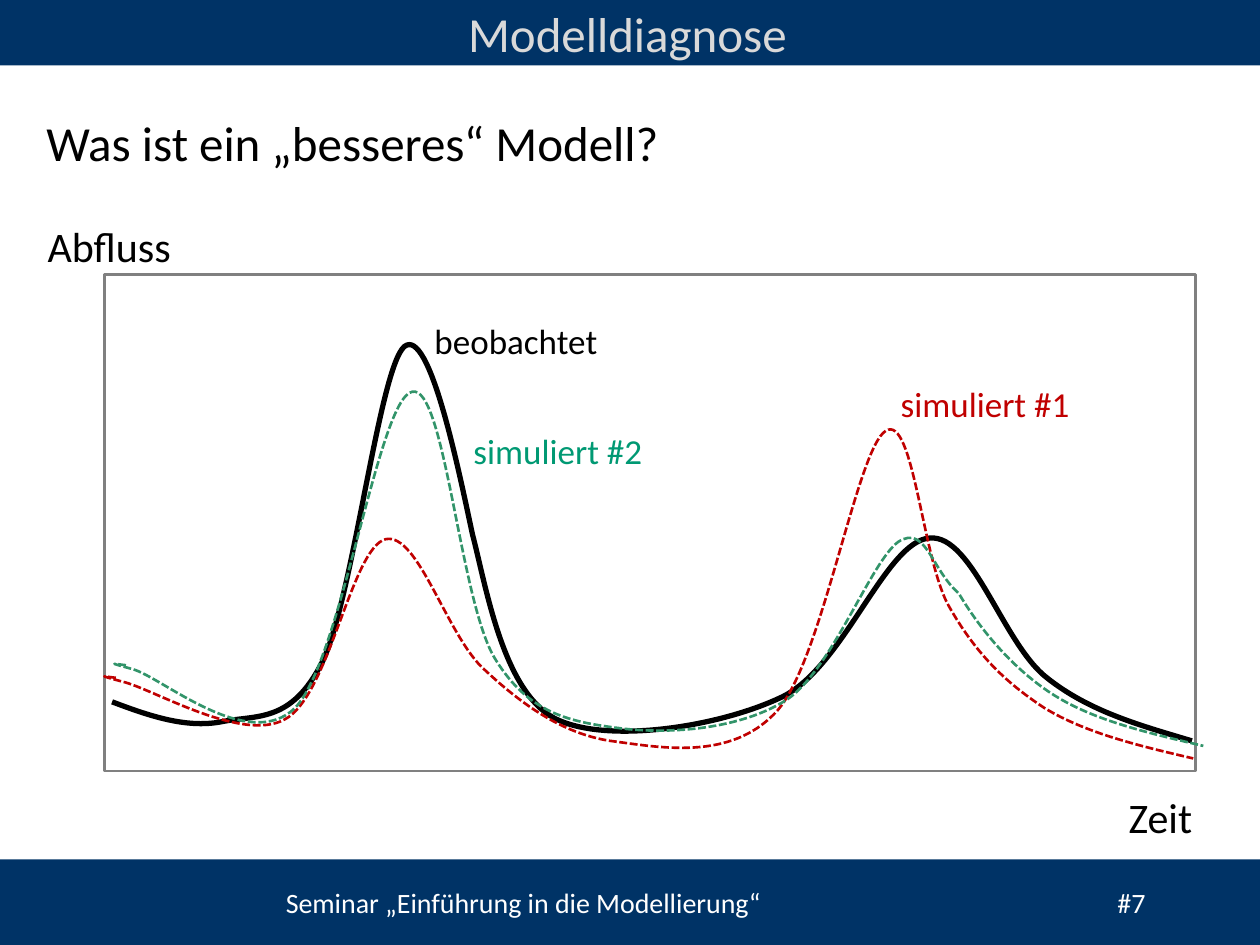
"""Build the model diagnosis slide with observed and simulated runoff curves."""
from lxml import etree
from pptx import Presentation
from pptx.dml.color import RGBColor
from pptx.enum.dml import MSO_LINE
from pptx.enum.shapes import MSO_SHAPE
from pptx.enum.text import PP_ALIGN
from pptx.oxml.ns import qn
from pptx.util import Inches, Pt

NAVY = RGBColor(0x00, 0x33, 0x66)
WHITE = RGBColor(0xFF, 0xFF, 0xFF)
LIGHT_GRAY = RGBColor(0xD9, 0xD9, 0xD9)
GRAY = RGBColor(0x80, 0x80, 0x80)
BLACK = RGBColor(0x00, 0x00, 0x00)
RED = RGBColor(0xC0, 0x00, 0x00)
CURVE_GREEN = RGBColor(0x32, 0x94, 0x6A)
LABEL_GREEN = RGBColor(0x00, 0x99, 0x73)
LEFT, CENTER, RIGHT = PP_ALIGN.LEFT, PP_ALIGN.CENTER, PP_ALIGN.RIGHT
SOLID, DASHED = MSO_LINE.SOLID, MSO_LINE.SQUARE_DOT
RECTANGLE = MSO_SHAPE.RECTANGLE


def add_text(slide, text, box, size, color, alignment=LEFT):
    shape = slide.shapes.add_textbox(*map(Inches, box))
    shape.text_frame.word_wrap = True
    paragraph = shape.text_frame.paragraphs[0]
    paragraph.text = text
    paragraph.alignment = alignment
    font = paragraph.runs[0].font
    font.color.rgb = color
    for name, value in {"name": "Calibri", "size": Pt(size)}.items():
        setattr(font, name, value)
    return shape


def add_curve(slide, knots):
    points = [(Inches(x), Inches(y)) for x, y in knots]
    builder = slide.shapes.build_freeform(*points[0])
    builder.add_line_segments(points[1:], close=False)
    curve = builder.convert_to_shape()
    lines = list(curve.element.iter(qn("a:lnTo")))
    for start in range(0, len(lines), 3):
        bezier = etree.SubElement(lines[start].getparent(), qn("a:cubicBezTo"))
        for line in lines[start:start + 3]:
            bezier.append(line[0])
            line.getparent().remove(line)
    return curve


presentation = Presentation()
presentation.slide_width = Inches(10)
presentation.slide_height = Inches(7.5)
slide = presentation.slides.add_slide(presentation.slide_layouts[6])

for top, height in ((0, 0.52), (6.82, 0.68)):
    band = slide.shapes.add_shape(RECTANGLE, 0, Inches(top), Inches(10), Inches(height))
    band.shadow.inherit = False
    band.fill.solid()
    band.fill.fore_color.rgb = NAVY
    band.line.fill.background()

footer = add_text(
    slide, "Seminar „Einführung in die Modellierung“\t#7", (2.17, 6.98, 7.83, 0.37), 16, WHITE
)
footer_properties = footer.text_frame.paragraphs[0]._p.get_or_add_pPr()
tab_stops = etree.SubElement(footer_properties, qn("a:tabLst"))
etree.SubElement(tab_stops, qn("a:tab"), pos=str(Inches(6.6)), algn="l")

title = add_text(slide, "Modelldiagnose", (0, -0.02, 9.96, 0.52), 28, LIGHT_GRAY, CENTER)
title.text_frame.margin_left = title.text_frame.margin_right = 0

plot_frame = slide.shapes.add_shape(
    RECTANGLE, Inches(0.83), Inches(2.18), Inches(8.66), Inches(3.94)
)
plot_frame.shadow.inherit = False
plot_frame.fill.background()
plot_frame.line.color.rgb = GRAY
plot_frame.line.width = Pt(1.5)

observed = [
    (0.89, 5.57), (1.18, 5.68), (1.47, 5.78), (1.75, 5.73),
    (2.03, 5.67), (2.31, 5.75), (2.56, 5.25), (2.8, 4.76), (3.01, 2.92), (3.21, 2.75),
    (3.41, 2.59), (3.64, 3.73), (3.75, 4.24), (3.86, 4.66), (3.99, 5.48), (4.4, 5.7),
    (4.81, 5.91), (5.71, 5.77), (6.21, 5.53), (6.7, 5.29), (7.03, 4.29), (7.38, 4.27),
    (7.72, 4.24), (7.96, 5.11), (8.31, 5.38), (8.65, 5.65), (9.06, 5.76), (9.46, 5.88),
]
simulated_1 = [
    (0.92, 5.38), (0.83, 5.37), (0.75, 5.35), (0.97, 5.41),
    (1.2, 5.46), (1.92, 5.9), (2.26, 5.71), (2.61, 5.53), (2.79, 4.35), (3.06, 4.28),
    (3.32, 4.22), (3.55, 5.06), (3.85, 5.32), (4.14, 5.59), (4.46, 5.82), (4.84, 5.88),
    (5.23, 5.93), (5.8, 6.05), (6.17, 5.64), (6.53, 5.23), (6.8, 3.56), (7.03, 3.42),
    (7.25, 3.28), (7.32, 4.44), (7.53, 4.81), (7.74, 5.18), (7.97, 5.41), (8.29, 5.62),
    (8.62, 5.82), (9.04, 5.92), (9.47, 6.02),
]
simulated_2 = [
    (1, 5.28), (0.91, 5.27), (0.83, 5.25), (1.05, 5.31),
    (1.28, 5.37), (1.97, 5.98), (2.34, 5.62), (2.71, 5.25), (3, 3.17), (3.27, 3.11),
    (3.53, 3.04), (3.65, 4.78), (3.93, 5.23), (4.2, 5.67), (4.53, 5.73), (4.92, 5.78),
    (5.31, 5.83), (5.88, 5.79), (6.25, 5.55), (6.61, 5.3), (6.91, 4.46), (7.13, 4.3),
    (7.35, 4.16), (7.39, 4.52), (7.61, 4.71), (7.78, 5), (8.05, 5.32), (8.37, 5.52),
    (8.69, 5.72), (9.12, 5.82), (9.55, 5.92),
]

for knots, color, width, dash in (
    (observed, BLACK, 3, SOLID),
    (simulated_1, RED, 1.5, DASHED),
    (simulated_2, CURVE_GREEN, 1.5, DASHED),
):
    curve = add_curve(slide, knots)
    curve.shadow.inherit = False
    curve.fill.background()
    curve.line.color.rgb = color
    for name, value in {"width": Pt(width), "dash_style": dash}.items():
        setattr(curve.line, name, value)

for text, box, size, color, alignment in (
    ("Was ist ein „besseres“ Modell?", (0.27, 0.84, 5.35, 0.57), 28, BLACK, LEFT),
    ("Abfluss", (0.28, 1.7, 1.69, 0.5), 24, BLACK, LEFT),
    ("Zeit", (7.87, 6.23, 1.69, 0.5), 24, BLACK, RIGHT),
    ("beobachtet", (3.35, 2.49, 2.36, 0.44), 20, BLACK, LEFT),
    ("simuliert #1", (7.05, 2.99, 2.36, 0.44), 20, RED, LEFT),
    ("simuliert #2", (3.66, 3.36, 2.36, 0.44), 20, LABEL_GREEN, LEFT),
):
    add_text(slide, text, box, size, color, alignment)

presentation.save("out.pptx")
